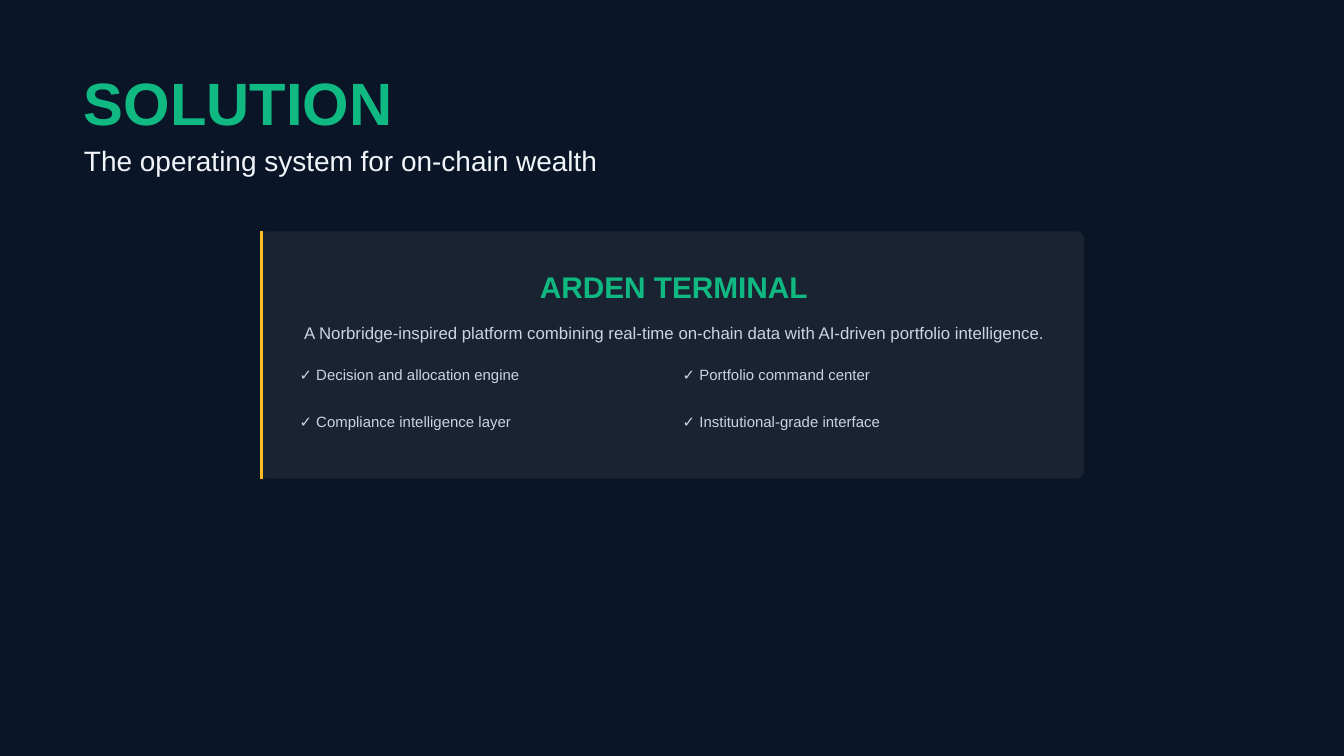
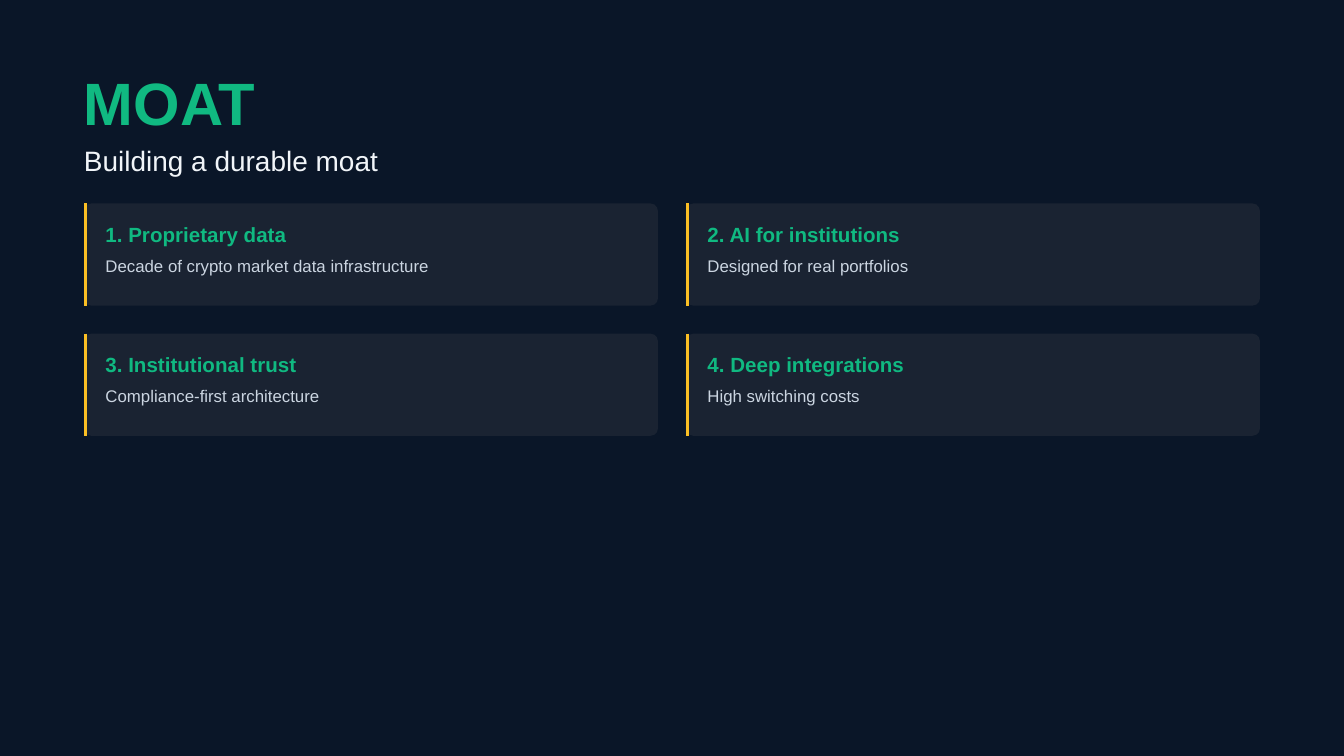
"""Build the solution and moat slides of the pitch deck."""
from lxml.etree import SubElement
from pptx import Presentation
from pptx.dml.color import RGBColor
from pptx.enum.shapes import MSO_CONNECTOR, MSO_SHAPE
from pptx.enum.text import PP_ALIGN
from pptx.oxml.ns import qn
from pptx.util import Pt

NAVY = RGBColor(0x0A, 0x16, 0x28)
PANEL = RGBColor(0x1A, 0x23, 0x32)
GREEN = RGBColor(0x10, 0xB9, 0x81)
AMBER = RGBColor(0xFB, 0xBF, 0x24)
WHITE = RGBColor(0xF1, 0xF5, 0xF9)
GREY = RGBColor(0xCB, 0xD5, 0xE1)
FONT = "Arial"
MARGIN = 45
RADIUS = 4


def add_text(s, text, x, y, w, h, size, color, after, bold=False, align=None, spacing=None):
    tf = s.shapes.add_textbox(Pt(x), Pt(y), Pt(w), Pt(h)).text_frame
    tf.margin_left = tf.margin_right = tf.margin_top = tf.margin_bottom = 0
    tf.word_wrap = True
    p = tf.paragraphs[0]
    p.text = text
    p.alignment = align
    p.space_after = Pt(after)
    if spacing:
        p.line_spacing = Pt(spacing)
    font = p.runs[0].font
    font.name, font.size, font.bold = FONT, Pt(size), bold
    font.color.rgb = color


def add_card(s, x, y, w, h):
    card = s.shapes.add_shape(MSO_SHAPE.ROUNDED_RECTANGLE, Pt(x), Pt(y), Pt(w), Pt(h))
    card.adjustments[0] = RADIUS / h
    card.shadow.inherit = False
    card.fill.solid()
    card.fill.fore_color.rgb = PANEL
    card.line.fill.background()
    edge = x + 0.75
    accent = s.shapes.add_connector(MSO_CONNECTOR.STRAIGHT, Pt(edge), Pt(y), Pt(edge), Pt(y + h))
    accent.line.color.rgb = AMBER
    accent.line.width = Pt(1.5)
    SubElement(accent._element.spPr, qn("a:effectLst"))


prs = Presentation()
prs.slide_width, prs.slide_height = Pt(720), Pt(405)

slides = []
for title, subtitle in [
    ("SOLUTION", "The operating system for on-chain wealth"),
    ("MOAT", "Building a durable moat"),
]:
    s = prs.slides.add_slide(prs.slide_layouts[6])
    s.background.fill.solid()
    s.background.fill.fore_color.rgb = NAVY
    add_text(s, title, MARGIN, 35.5, 643, 36.5, 32, GREEN, 5, bold=True)
    add_text(s, subtitle, MARGIN, 77, 643, 17.25, 15, WHITE, 15)
    slides.append(s)
solution, moat = slides

add_card(solution, 139.25, 124, 441.5, 132.5)
add_text(solution, "ARDEN TERMINAL", 157, 144, 408, 18.5, 16, GREEN, 10,
         bold=True, align=PP_ALIGN.CENTER)
add_text(solution, "A Norbridge-inspired platform combining real-time on-chain data "
         "with AI-driven portfolio intelligence.", 157, 172.75, 408, 10.8, 9, GREY, 12,
         align=PP_ALIGN.CENTER, spacing=10.8)
features = [
    "Decision and allocation engine",
    "Portfolio command center",
    "Compliance intelligence layer",
    "Institutional-grade interface",
]
for i, feature in enumerate(features):
    row, col = divmod(i, 2)
    add_text(solution, f"✓ {feature}", 160.5 + col * 205.25, 195.75 + row * 25.5,
             199, 9.6, 8, GREY, 6, spacing=9.6)

moats = [
    ("Proprietary data", "Decade of crypto market data infrastructure"),
    ("AI for institutions", "Designed for real portfolios"),
    ("Institutional trust", "Compliance-first architecture"),
    ("Deep integrations", "High switching costs"),
]
for i, (heading, detail) in enumerate(moats):
    row, col = divmod(i, 2)
    x, y = MARGIN + col * 322.5, 109 + row * 69.75
    add_card(moat, x, y, 307.5, 54.75)
    add_text(moat, f"{i + 1}. {heading}", x + 11.5, y + 10, 291.5, 12.5, 11, GREEN, 6, bold=True)
    add_text(moat, detail, x + 11.5, y + 28, 291.5, 10.8, 9, GREY, 6, spacing=10.8)

prs.save("out.pptx")
